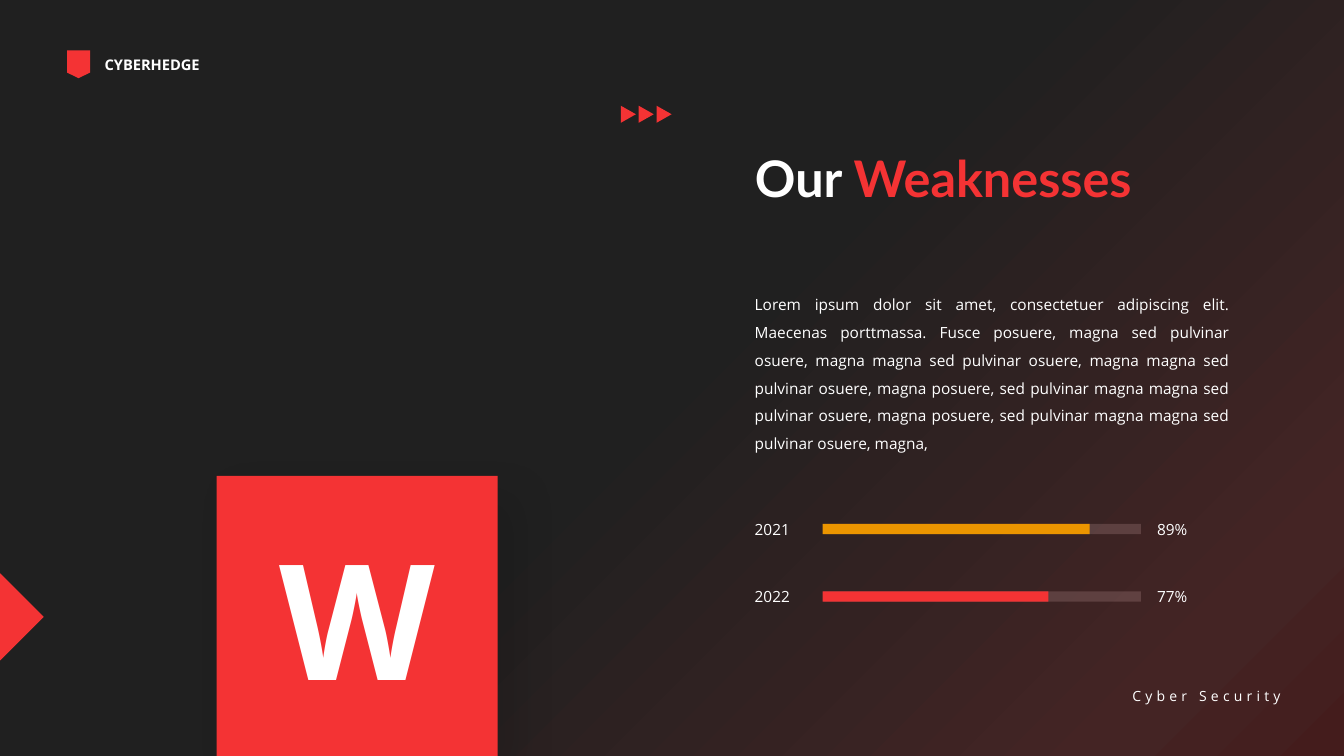
import pptx
import pptx.dml.color
import pptx.enum.shapes
import pptx.enum.text
import pptx.oxml
import pptx.oxml.ns
import pptx.util

Cm = pptx.util.Cm
SHAPE = pptx.enum.shapes.MSO_SHAPE
ALIGN = pptx.enum.text.PP_ALIGN
ANCHOR = pptx.enum.text.MSO_ANCHOR
RED, WHITE, AMBER, TRACK = "F43334", "FFFFFF", "EB9500", "E1B6B6"
BODY = (
    "Lorem ipsum dolor sit amet, consectetuer adipiscing elit. Maecenas porttmassa. "
    "Fusce posuere, magna sed pulvinar osuere, magna magna sed pulvinar osuere, "
    "magna magna sed pulvinar osuere, magna posuere, sed pulvinar magna magna sed "
    "pulvinar osuere, magna posuere, sed pulvinar magna magna sed pulvinar osuere, magna,"
)


def colour(value):
    return pptx.dml.color.RGBColor.from_string(value)


def add_xml(parent, tag, **values):
    child = pptx.oxml.parse_xml(f"<a:{tag} {pptx.oxml.ns.nsdecls('a')}/>")
    for name, value in values.items():
        child.set(name, str(value))
    parent.append(child)
    return child


def apply_format(target, values):
    for name, value in values.items():
        setattr(target, name, value)


def write(shape, spans, size, face="Open Sans", bold=False, frame=None, para=None):
    apply_format(shape.text_frame, {"word_wrap": True, **(frame or {})})
    paragraph = shape.text_frame.paragraphs[0]
    apply_format(paragraph, {"alignment": ALIGN.LEFT, **(para or {})})
    for words, tint in spans:
        span = paragraph.add_run()
        span.text = words
        apply_format(span.font, {"size": pptx.util.Pt(size), "name": face, "bold": bold})
        span.font.color.rgb = colour(tint)
    return paragraph


def add_text(page, box, words, size, **options):
    shape = page.shapes.add_textbox(*map(Cm, box))
    return write(shape, [(words, WHITE)], size, **options)


def add_block(page, kind, box, tint, rotation=0):
    block = page.shapes.add_shape(kind, *map(Cm, box))
    block.shadow.inherit = False
    block.fill.solid()
    block.fill.fore_color.rgb = colour(tint)
    block.line.fill.background()
    block.rotation = rotation
    return block


def paint_background(page):
    fill = page.background.fill
    fill.gradient()
    fill.gradient_angle = 315
    stops = page.element.find(".//" + pptx.oxml.ns.qn("a:gsLst"))
    for stop in list(stops):
        stops.remove(stop)
    for position, tint in [(0, "202020"), (50, "202020"), (88, "442424"), (100, "441C1C")]:
        add_xml(add_xml(stops, "gs", pos=position * 1000), "srgbClr", val=tint)


def add_brand(page, left, top, width, height):
    add_block(page, SHAPE.FLOWCHART_OFFPAGE_CONNECTOR, (left, top, 0.58, height), RED)
    add_text(page, (left + 0.7, top, width - 0.7, height), "CYBERHEDGE", 10.5,
             bold=True, frame={"word_wrap": False})


def add_arrows(page, left, top, width, height):
    for index in range(3):
        add_block(page, SHAPE.ISOSCELES_TRIANGLE,
                  (left + index * 0.45, top, width, height), RED, 90)


def add_letter(page, left, top, width, height):
    square = add_block(page, SHAPE.RECTANGLE, (left, top, width, height), RED)
    effects = square.element.spPr.find(pptx.oxml.ns.qn("a:effectLst"))
    shadow = add_xml(effects, "outerShdw", blurRad=pptx.util.Pt(30), dist=pptx.util.Pt(20),
                     dir=45 * 60000, algn="tl", rotWithShape=0)
    add_xml(add_xml(shadow, "srgbClr", val="000000"), "alpha", val=10000)
    write(square, [("W", WHITE)], 115, bold=True,
          frame={"vertical_anchor": ANCHOR.MIDDLE}, para={"alignment": ALIGN.CENTER})


def add_heading(page, left, top, width, height):
    title = page.shapes.title
    apply_format(title, {"left": Cm(left), "top": Cm(top),
                         "width": Cm(width), "height": Cm(height)})
    write(title, [("Our ", WHITE), ("Weaknesses", RED)], 36, face="Lato", bold=True,
          frame={"vertical_anchor": ANCHOR.TOP,
                 "auto_size": pptx.enum.text.MSO_AUTO_SIZE.NONE},
          para={"line_spacing": 1.0})


def add_progress(page, left, top, width, height, year, share, length, tint):
    label_width = 2.08
    bar_left, bar_top, bar_height = left + 1.98, top + 0.22, 0.26
    add_text(page, (left, top, label_width, height), year, 11)
    track = add_block(page, SHAPE.RECTANGLE, (bar_left, bar_top, 8, bar_height), TRACK)
    track_colour = track.element.spPr.find(".//" + pptx.oxml.ns.qn("a:srgbClr"))
    add_xml(track_colour, "alpha", val=20000)
    add_block(page, SHAPE.RECTANGLE, (bar_left - 0.02, bar_top, length, bar_height), tint)
    add_text(page, (left + width - label_width, top, label_width, height), share, 11)


def add_footer(page, left, top, width, height):
    para = add_text(page, (left, top, width, height), "Cyber Security", 10,
                    frame={"word_wrap": False}, para={"alignment": ALIGN.RIGHT})
    for span in para.runs:
        span.font._element.set("spc", "300")


def build_weaknesses(deck):
    page = deck.slides.add_slide(deck.slide_layouts[5])
    paint_background(page)
    add_brand(page, 1.69, 1.27, 3.69, 0.7)
    add_footer(page, 27.97, 17.2, 4.55, 0.69)
    add_block(page, SHAPE.RIGHT_TRIANGLE, (-0.77, 14.77, 1.55, 1.55), RED, 225)
    add_heading(page, 18.77, 3.58, 12.47, 1.8)
    add_text(page, (18.77, 7.09, 12.47, 4.5), BODY, 11,
             para={"alignment": ALIGN.JUSTIFY, "line_spacing": 1.5})
    add_letter(page, 5.46, 11.99, 7.08, 7.08)
    years = [("2021", "89%", 6.73, AMBER), ("2022", "77%", 5.69, RED)]
    for index, values in enumerate(years):
        add_progress(page, 18.77, 12.98 + index * 1.7, 12.22, 0.74, *values)
    add_arrows(page, 15.62, 2.69, 0.43, 0.38)


def main():
    deck = pptx.Presentation()
    deck.slide_width, deck.slide_height = Cm(33.87), Cm(19.05)
    build_weaknesses(deck)
    deck.save("out.pptx")


if __name__ == "__main__":
    main()
